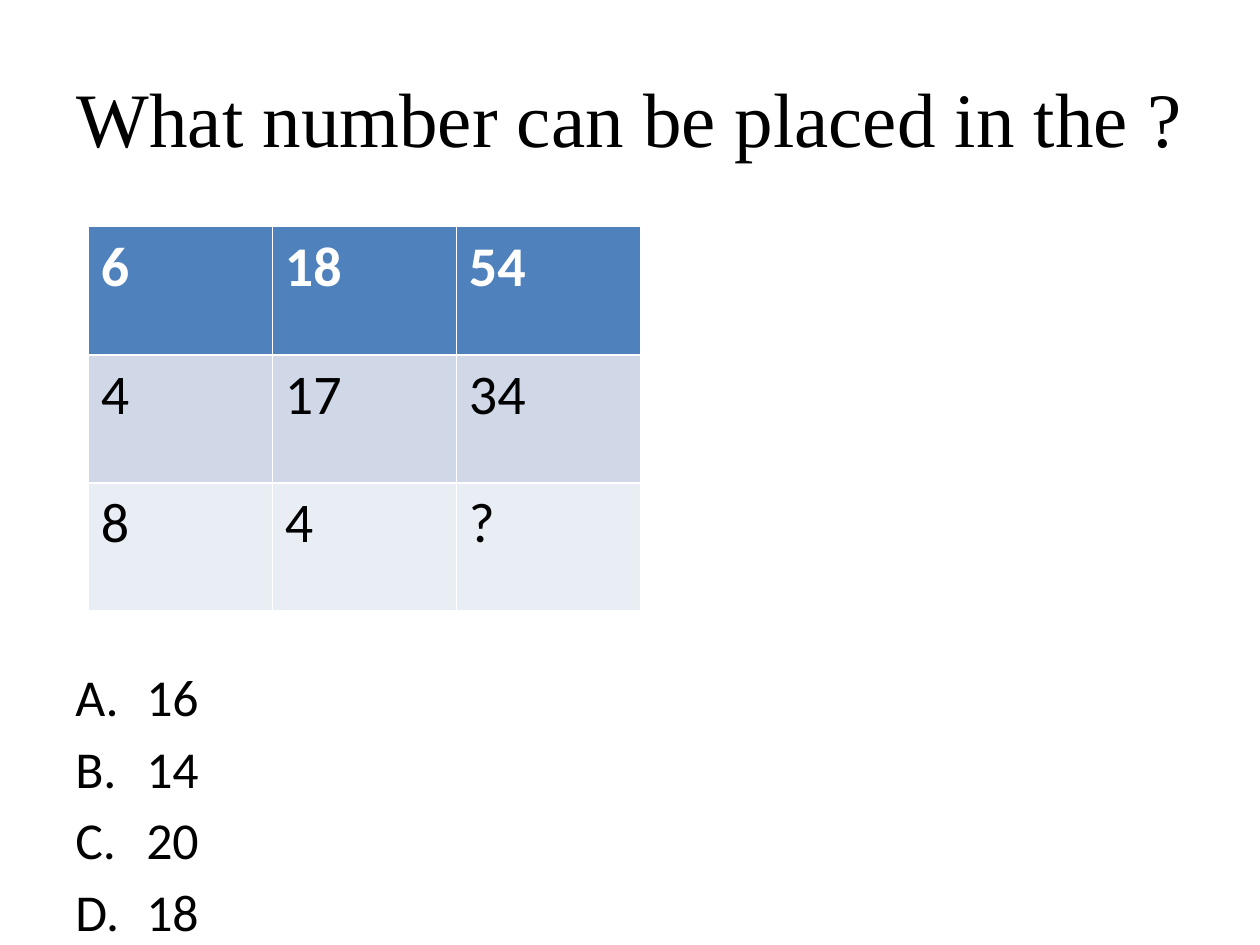
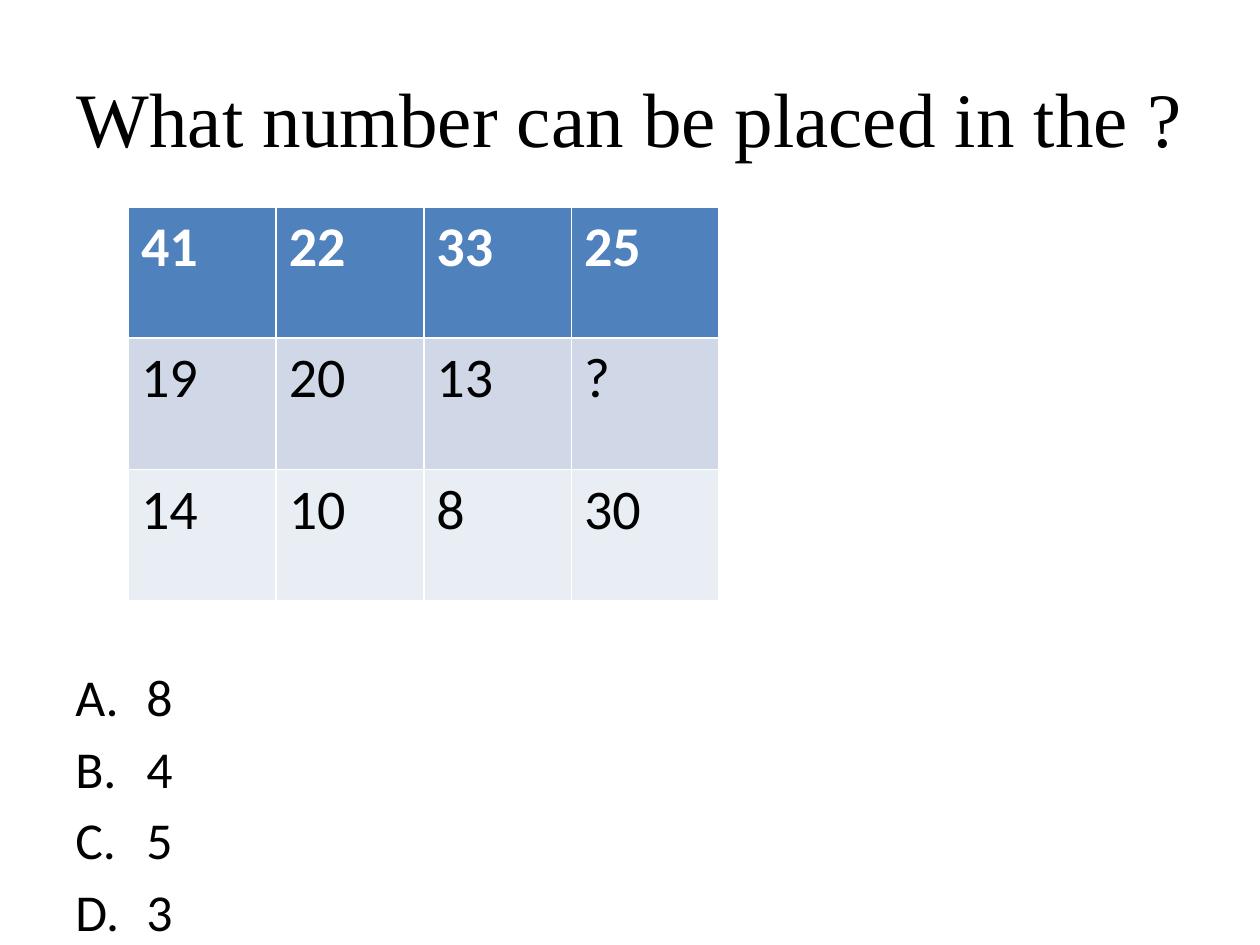
from pptx import Presentation
from pptx.dml.color import RGBColor
from pptx.enum.text import MSO_ANCHOR, PP_ALIGN
from pptx.oxml.ns import qn
from pptx.util import Cm, Pt

TITLE = "What number can be placed in the ?"
PUZZLES = [
    {
        "left": 1.78, "top": 4.57, "width": 11.13, "height": 7.75,
        "grid": [["6", "18", "54"],
                 ["4", "17", "34"],
                 ["8", "4", "?"]],
        "answers": ["16", "14", "20", "18"],
    },
    {
        "left": 2.59, "top": 4.17, "width": 11.91, "height": 7.94,
        "grid": [["41", "22", "33", "25"],
                 ["19", "20", "13", "?"],
                 ["14", "10", "8", "30"]],
        "answers": ["8", "4", "5", "3"],
    },
]

SERIF, SANS = "Times New Roman", "Calibri"
BLACK, WHITE = "000000", "FFFFFF"
ROW_FILLS = ["4F81BD", "D0D8E8", "E9EDF4"]
MARGIN, WIDTH = 1.27, 22.86
INDENT = Cm(1.43)
CENTER, MIDDLE = PP_ALIGN.CENTER, MSO_ANCHOR.MIDDLE


def paint(color, code):
    color.rgb = RGBColor.from_string(code)


def style(para, name, size, code, bold=False):
    for run in para.runs:
        font = run.font
        font.name, font.size, font.bold = name, Pt(size), bold
        paint(font.color, code)


def place(shape, left, top, width, height):
    shape.left, shape.top = Cm(left), Cm(top)
    shape.width, shape.height = Cm(width), Cm(height)


def add_title(slide):
    title = slide.shapes.title
    place(title, MARGIN, 0.76, WIDTH, 3.18)
    frame = title.text_frame
    frame.text = TITLE
    frame.vertical_anchor = MIDDLE
    para = frame.paragraphs[0]
    para.alignment = CENTER
    style(para, SERIF, 44, BLACK)


def add_grid(slide, puzzle):
    grid = puzzle["grid"]
    area = [Cm(puzzle[key]) for key in ("left", "top", "width", "height")]
    table = slide.shapes.add_table(len(grid), len(grid[0]), *area).table
    for r, (row, fill) in enumerate(zip(grid, ROW_FILLS)):
        head = r == 0
        for c, text in enumerate(row):
            cell = table.cell(r, c)
            cell.text = text
            cell.fill.solid()
            paint(cell.fill.fore_color, fill)
            style(cell.text_frame.paragraphs[0], SANS, 32,
                  WHITE if head else BLACK, head)


def add_letter(para):
    """Number the paragraph A., B., C. with a hanging indent."""
    props = para._p.get_or_add_pPr()
    props.set("marL", str(INDENT))
    props.set("indent", str(-INDENT))
    bullet = props.makeelement(qn("a:buAutoNum"), {"type": "alphaUcPeriod"})
    props.append(bullet)


def add_answers(slide, answers):
    box = slide.shapes.add_textbox(Cm(MARGIN), Cm(13.28), Cm(WIDTH), Cm(5.77))
    frame = box.text_frame
    frame.word_wrap = True
    frame.text = "\n".join(answers)
    for i, para in enumerate(frame.paragraphs):
        add_letter(para)
        para.space_before = Pt(5.4 if i else 0)
        style(para, SANS, 29.6, BLACK)


def main():
    deck = Presentation()
    deck.slide_width, deck.slide_height = Cm(25.4), Cm(19.05)
    layout = deck.slide_layouts[5]
    for puzzle in PUZZLES:
        slide = deck.slides.add_slide(layout)
        add_title(slide)
        add_answers(slide, puzzle["answers"])
        add_grid(slide, puzzle)
    deck.save("out.pptx")


if __name__ == "__main__":
    main()
